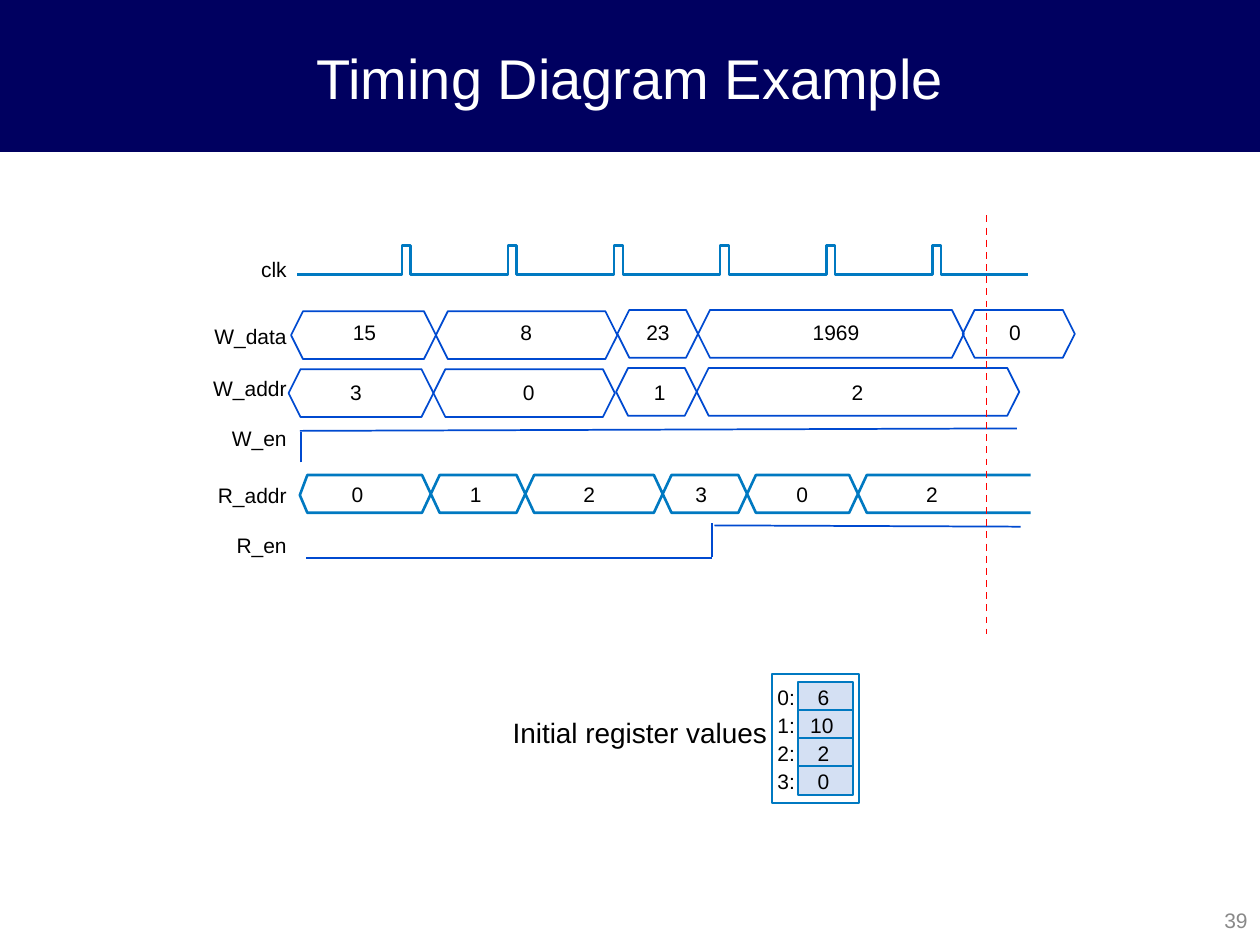
from pptx import Presentation
from pptx.dml.color import RGBColor
from pptx.enum.dml import MSO_LINE
from pptx.enum.shapes import MSO_CONNECTOR, MSO_SHAPE
from pptx.enum.text import MSO_ANCHOR, PP_ALIGN
from pptx.oxml.ns import qn
from pptx.util import Inches, Pt
from lxml import etree

RECT, HEXAGON = MSO_SHAPE.RECTANGLE, MSO_SHAPE.HEXAGON
STRAIGHT, DASH = MSO_CONNECTOR.STRAIGHT, MSO_LINE.DASH
LEFT, CENTER, RIGHT = PP_ALIGN.LEFT, PP_ALIGN.CENTER, PP_ALIGN.RIGHT
TOP, MIDDLE = MSO_ANCHOR.TOP, MSO_ANCHOR.MIDDLE

COLORS = {"navy": "000060", "white": "FFFFFF", "black": "000000", "gray": "898989",
          "teal": "0079C1", "blue": "004AD0", "red": "FF0000", "pale": "D4E0F3"}
COLS, ROWS = 100, 75  # slide grid
FONT = "Arial"


class Deck:
    def __init__(self, width=10, height=7.5):
        self.prs = Presentation()
        self.prs.slide_width, self.prs.slide_height = Inches(width), Inches(height)
        self.s = self.prs.slides.add_slide(self.prs.slide_layouts[6])

    def x(self, col):
        return round(self.prs.slide_width * col / COLS)

    def y(self, row):
        return round(self.prs.slide_height * row / ROWS)

    def outline(self, item, color, width):
        item.line.color.rgb = RGBColor.from_string(COLORS[color])
        item.line.width = Pt(width)

    def shape(self, kind, col, row, w, h, line, width=1.0, fill=None):
        sp = self.s.shapes.add_shape(kind, self.x(col), self.y(row), self.x(w), self.y(h))
        sp.shadow.inherit = False
        if fill:
            sp.fill.solid()
            sp.fill.fore_color.rgb = RGBColor.from_string(COLORS[fill])
        else:
            sp.fill.background()
        self.outline(sp, line, width)
        return sp

    def hexagons(self, cells):
        for col, row, w in cells:
            self.shape(HEXAGON, col, row, w, 3.8, "blue").adjustments[0] = 0.25

    def wave(self, points, color="teal", width=1.5):
        pts = [(self.x(c), self.y(r)) for c, r in points]
        builder = self.s.shapes.build_freeform(*pts[0], scale=1.0)
        builder.add_line_segments(pts[1:], close=False)
        sp = builder.convert_to_shape()
        sp.shadow.inherit = False
        sp.fill.background()
        self.outline(sp, color, width)

    def line(self, c1, r1, c2, r2, color="blue", width=1.0, dash=None):
        cx = self.s.shapes.add_connector(STRAIGHT, self.x(c1), self.y(r1),
                                         self.x(c2), self.y(r2))
        self.outline(cx, color, width)
        if dash:
            cx.line.dash_style = dash
        etree.SubElement(cx._element.spPr, qn("a:effectLst"))

    def text(self, text, col, row, w, h=2.0, size=12, color="black",
             align=LEFT, anchor=TOP, inset=(0, 0), wrap=False):
        tb = self.s.shapes.add_textbox(self.x(col), self.y(row), self.x(w), self.y(h))
        tf = tb.text_frame
        tf.word_wrap, tf.vertical_anchor = wrap, anchor
        tf.margin_left = tf.margin_right = Inches(inset[0])
        tf.margin_top = tf.margin_bottom = Inches(inset[1])
        p = tf.paragraphs[0]
        p.alignment = align
        r = p.add_run()
        r.text = text
        r.font.name, r.font.size = FONT, Pt(size)
        r.font.color.rgb = RGBColor.from_string(COLORS[color])

    def values(self, row, items):
        for text, col in items:
            self.text(text, col, row, 0.93 * len(text))


def clock_points(first=31.9, period=8.42, pulse=0.7, low=21.8, high=19.5):
    points = [(23.6, low)]
    for i in range(6):
        rise = first + i * period
        fall = rise + pulse
        points += [(rise, low), (rise, high), (fall, high), (fall, low)]
    return points + [(81.6, low)]


def bus_edge(level, other, crossings, start=24.4, end=81.8, slope=1.4):
    points = [(start, level)]
    for col in crossings:
        points += [(col, level), (col + slope, other)]
        level, other = other, level
    return points + [(end, level)]


def main():
    d = Deck()
    padding = (0.1, 0.05)

    # Title band and slide number
    d.shape(RECT, 0, 0, COLS, 12, "navy", 0.75, "navy")
    d.text("Timing Diagram Example", 0, 0.1, COLS, 12, 32, "white", CENTER, MIDDLE,
           padding, True)
    d.text("39", 78.8, 71, 21.2, 4, 12, "gray", RIGHT, MIDDLE, padding, True)

    # Signal names, flush right in one column
    for name, row in [("clk", 20.4), ("W_data", 25.7), ("W_addr", 29.8),
                      ("W_en", 33.8), ("R_addr", 38.3), ("R_en", 42.3)]:
        d.text(name, 15, row, 7.75, align=RIGHT, wrap=True)

    # Clock
    d.wave(clock_points())

    # Write data and write address
    d.hexagons([(23.1, 24.7, 11.5), (34.6, 24.7, 14.4), (49, 24.6, 6.4),
                (55.4, 24.6, 21.1), (76.4, 24.6, 8.9)])
    d.values(25.4, [("15", 28), ("8", 41.3), ("23", 51.3), ("1969", 64.5), ("0", 80.1)])
    d.hexagons([(22.9, 29.3, 11.5), (34.4, 29.3, 14.4), (48.9, 29.2, 6.4),
                (55.3, 29.2, 25.6)])
    d.values(30.1, [("3", 27.8), ("0", 41.5), ("1", 51.9), ("2", 67.6)])

    # Write enable
    d.line(23.9, 36.7, 23.9, 34.3)
    d.line(23.8, 34.2, 80.7, 34)

    # Read address
    crossings = [33.5, 41, 51.9, 58.6, 67.4]
    high, low = 37.7, 40.7
    d.wave(bus_edge(high, low, crossings)[::-1] + [(23.8, 39.3)]
           + bus_edge(low, high, crossings))
    d.values(38.2, [("0", 27.9), ("1", 37.3), ("2", 46.3), ("3", 55.2),
                    ("0", 63.2), ("2", 73.5)])

    # Read enable
    d.line(24.3, 44.3, 56.5, 44.3)
    d.line(56.5, 44.2, 56.5, 41.5)
    d.line(56.7, 41.7, 81, 41.8)

    # Time marker
    d.line(78.3, 17.1, 78.3, 50.3, "red", dash=DASH)

    # Register file
    d.text("Initial register values", 39.7, 56.3, 23.6, 3.7, 16, inset=padding)
    d.shape(RECT, 61.3, 53.5, 6.9, 10.2, "teal", 1.13)
    d.shape(RECT, 63.3, 54.1, 4.4, 9, "teal", 1.13, "pale")
    pitch = 2.23
    for i, (value, col) in enumerate([("6", 64.9), ("10", 64.3), ("2", 64.9), ("0", 64.9)]):
        row = 54.3 + i * pitch
        d.text(f"{i}:", 61.7, row, 1.4)
        d.values(row, [(value, col)])
        if i:
            d.line(63.3, 54.1 + i * pitch, 67.6, 54.1 + i * pitch, "teal", 1.13)

    d.prs.save("out.pptx")


if __name__ == "__main__":
    main()
